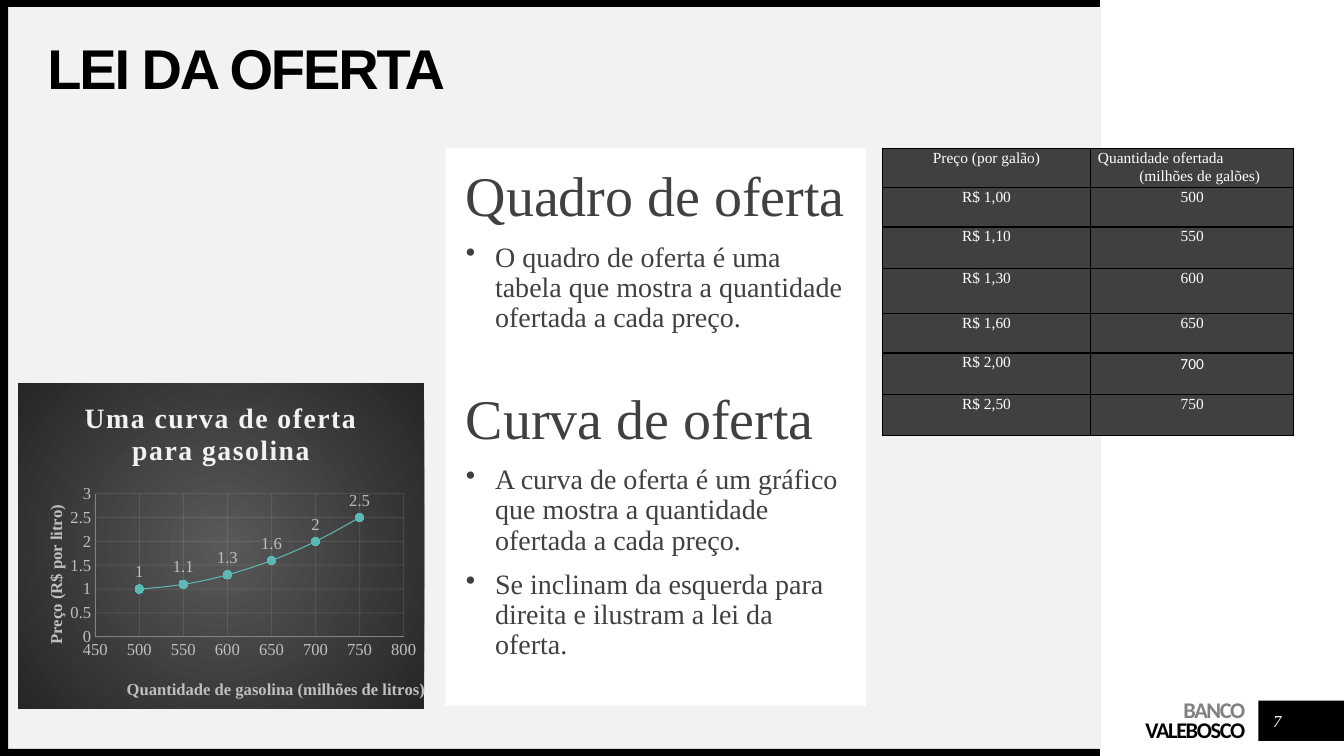
import pptx
import pptx.chart.data
import pptx.chart.datalabel
import pptx.dml.color
import pptx.enum.chart
import pptx.enum.shapes
import pptx.enum.text
import pptx.oxml
import pptx.oxml.ns
import pptx.util
from lxml import etree

Inches = pptx.util.Inches
Pt = pptx.util.Pt
qn = pptx.oxml.ns.qn
ALIGN = pptx.enum.text.PP_ALIGN
ANCHOR = pptx.enum.text.MSO_ANCHOR

COLORS = {
    "black": "000000", "white": "FFFFFF", "panel": "F2F2F2", "dark": "404040",
    "gray": "808080", "label": "BFBFBF", "teal": "5CB8B3", "marker": "57BDB7",
    "glow": "595959", "edge": "262626",
}
SERIF = "Times New Roman"


def rgb(color):
    return pptx.dml.color.RGBColor.from_string(COLORS[color])


class SlideBuilder:
    def __init__(self, slide):
        self.slide = slide

    def style(self, font, size, color, bold=False, italic=False, face=SERIF):
        font.name, font.size, font.bold, font.italic = face, Pt(size), bold, italic
        font.color.rgb = rgb(color)

    def frame(self, text_frame, insets=(0, 0, 0, 0), anchor=ANCHOR.TOP):
        text_frame.word_wrap = True
        text_frame.vertical_anchor = anchor
        (text_frame.margin_left, text_frame.margin_top,
         text_frame.margin_right, text_frame.margin_bottom) = map(Inches, insets)
        return text_frame

    def paragraph(self, text_frame, text, size, color, align=ALIGN.LEFT, spacing=None,
                  before=0, after=0, indent=0, bullet=False, tracking=0, **look):
        started = text_frame.paragraphs[0].runs
        paragraph = text_frame.add_paragraph() if started else text_frame.paragraphs[0]
        paragraph.alignment = align
        paragraph.line_spacing = spacing
        paragraph.space_before, paragraph.space_after = Pt(before), Pt(after)
        run = paragraph.add_run()
        run.text = text
        self.style(run.font, size, color, **look)
        if tracking:
            run.font._element.set("spc", str(int(tracking * 100)))
        properties = paragraph._p.get_or_add_pPr()
        if indent:
            properties.set("marL", str(Inches(indent)))
        if bullet:
            properties.set("indent", str(-Inches(indent)))
            etree.SubElement(properties, qn("a:buChar")).set("char", "•")

    def rect(self, box, color):
        shape = self.slide.shapes.add_shape(
            pptx.enum.shapes.MSO_SHAPE.RECTANGLE, *map(Inches, box))
        shape.shadow.inherit = False
        shape.fill.solid()
        shape.fill.fore_color.rgb = rgb(color)
        shape.line.fill.background()
        return shape

    def text(self, box, insets=(0, 0, 0, 0), anchor=ANCHOR.TOP):
        textbox = self.slide.shapes.add_textbox(*map(Inches, box))
        return self.frame(textbox.text_frame, insets, anchor)

    def cell(self, cell, lines, face):
        cell.margin_left = cell.margin_right = Inches(0.07)
        cell.margin_top = cell.margin_bottom = 0
        for text, align, indent in lines:
            self.paragraph(cell.text_frame, text, 11, "white", align, 1.07,
                           indent=indent, face=face)
        properties = cell._tc.get_or_add_tcPr()
        for side in ("lnL", "lnR", "lnT", "lnB"):
            border = etree.SubElement(properties, qn("a:" + side), w=str(Pt(1)))
            solid = etree.SubElement(border, qn("a:solidFill"))
            etree.SubElement(solid, qn("a:srgbClr"), val=COLORS["black"])
        cell.fill.solid()
        cell.fill.fore_color.rgb = rgb("dark")

    def table(self, box, widths, heights, rows):
        table = self.slide.shapes.add_table(
            len(heights), len(widths), *map(Inches, box)).table
        table.first_row = table.horz_banding = False
        for column, width in zip(table.columns, widths):
            column.width = Inches(width)
        for row, height, contents in zip(table.rows, heights, rows):
            row.height = Inches(height)
            for cell, content in zip(row.cells, contents):
                lines = [(content, ALIGN.CENTER, 0)] if isinstance(content, str) else content
                self.cell(cell, lines, "Calibri" if content == "700" else SERIF)

    def layout(self, parent, inner=False, **places):
        layout = parent.find(qn("c:layout"))
        if layout is None:
            layout = etree.Element(qn("c:layout"))
            parent.insert(0 if inner else 1, layout)
        manual = etree.SubElement(layout, qn("c:manualLayout"))
        if inner:
            etree.SubElement(manual, qn("c:layoutTarget"), val="inner")
        for mode in ("xMode", "yMode"):
            etree.SubElement(manual, qn("c:" + mode), val="edge")
        for name, value in places.items():
            etree.SubElement(manual, qn("c:" + name), val=str(value))

    def axis(self, axis, title, low, high, step, x, y):
        axis.minimum_scale, axis.maximum_scale, axis.major_unit = low, high, step
        axis.major_tick_mark = axis.minor_tick_mark = pptx.enum.chart.XL_TICK_MARK.NONE
        self.style(axis.tick_labels.font, 12, "label")
        axis.format.line.color.rgb = rgb("gray")
        axis.format.line.width = Pt(0.75)
        axis.has_major_gridlines = True
        grid = axis.major_gridlines.format.line
        grid.width = Pt(0.75)
        grid.color.rgb = rgb("panel")
        for color in axis._element.find(qn("c:majorGridlines")).iter(qn("a:srgbClr")):
            etree.SubElement(color, qn("a:alpha"), val="10000")
        self.paragraph(axis.axis_title.text_frame, title, 12, "label",
                       ALIGN.CENTER, bold=True)
        self.layout(axis.axis_title._element, x=x, y=y)

    def radial_fill(self, chart):
        space = chart._chartSpace
        fill = pptx.oxml.parse_xml(
            f'<c:spPr {pptx.oxml.ns.nsdecls("c", "a")}><a:gradFill><a:gsLst>'
            f'<a:gs pos="0"><a:srgbClr val="{COLORS["glow"]}"/></a:gs>'
            f'<a:gs pos="100000"><a:srgbClr val="{COLORS["edge"]}"/></a:gs></a:gsLst>'
            '<a:path path="circle"><a:fillToRect l="50000" t="50000" r="50000" b="50000"/>'
            '</a:path></a:gradFill><a:ln><a:noFill/></a:ln></c:spPr>')
        space.find(qn("c:chart")).addnext(fill)

    def scatter(self, box, title, points):
        data = pptx.chart.data.XyChartData()
        supply = data.add_series("Oferta")
        for quantity, price in points:
            supply.add_data_point(quantity, price)
        chart = self.slide.shapes.add_chart(
            pptx.enum.chart.XL_CHART_TYPE.XY_SCATTER_SMOOTH, *map(Inches, box), data).chart
        self.style(chart.font, 10, "black")
        self.radial_fill(chart)
        chart.has_legend = False
        chart.has_title = True
        self.paragraph(chart.chart_title.text_frame, title, 20, "panel", ALIGN.CENTER,
                       tracking=1, bold=True)
        self.axis(chart.category_axis, "Quantidade de gasolina (milhões de litros)",
                  450, 800, 50, 0.26, 0.9)
        self.axis(chart.value_axis, "Preço (R$ por litro)", 0, 3, 0.5, 0.06, 0.36)
        self.layout(chart._chartSpace.chart.plotArea, True, x=0.19, y=0.34, w=0.76, h=0.44)
        plot = chart.plots[0]
        plot.vary_by_categories = False
        curve = plot.series[0]
        curve._element.get_or_add_smooth().val = True
        curve.format.line.color.rgb = rgb("teal")
        curve.format.line.width = Pt(0.75)
        curve.marker.style = pptx.enum.chart.XL_MARKER_STYLE.CIRCLE
        curve.marker.size = 6
        curve.marker.format.fill.solid()
        curve.marker.format.fill.fore_color.rgb = rgb("marker")
        curve.marker.format.line.color.rgb = rgb("teal")
        labels = pptx.chart.datalabel.DataLabels(curve._element.get_or_add_dLbls())
        labels.show_value = True
        labels.position = pptx.enum.chart.XL_LABEL_POSITION.ABOVE
        self.style(labels.font, 12, "label")


def main():
    deck = pptx.Presentation()
    deck.slide_width, deck.slide_height = Inches(13.33), Inches(7.5)
    page = SlideBuilder(deck.slides.add_slide(deck.slide_layouts[6]))

    page.rect((0.08, 0.07, 10.84, 7.36), "panel")
    page.rect((12.48, 6.95, 0.86, 0.4), "black")
    for band in ((0, 7.43, 10.91, 0.07), (0, 0, 10.91, 0.07), (0, 0.03, 0.08, 7.47)):
        page.rect(band, "black")

    bank = page.text((10.53, 6.94, 1.82, 0.44), (0, 0.04, 0, 0))
    for word, color in (("BANCO", "gray"), ("VALEBOSCO", "black")):
        page.paragraph(bank, word, 16, color, ALIGN.RIGHT, Pt(14),
                       tracking=-1, bold=True, face="Calibri")

    heading = page.text((0.47, 0.47, 9.99, 0.47), anchor=ANCHOR.MIDDLE)
    page.paragraph(heading, "LEI DA OFERTA", 40, "black", spacing=0.9,
                   tracking=-1.5, bold=True, face="Arial")

    body = page.frame(page.rect((4.42, 1.47, 4.17, 5.53), "white").text_frame,
                      (0.2, 0.2, 0.2, 0))
    sections = (
        ("Quadro de oferta", 10,
         ("O quadro de oferta é uma tabela que mostra a quantidade ofertada a cada preço.",)),
        ("Curva de oferta", 41,
         ("A curva de oferta é um gráfico que mostra a quantidade ofertada a cada preço.",
          "Se inclinam da esquerda para direita e ilustram a lei da oferta.")),
    )
    for topic, gap, statements in sections:
        page.paragraph(body, topic, 40, "dark", spacing=0.9, before=gap)
        for statement in statements:
            page.paragraph(body, statement, 20, "dark", spacing=0.9, before=10,
                           indent=0.29, bullet=True)

    number = page.text((12.52, 7, 0.3, 0.3), anchor=ANCHOR.MIDDLE)
    page.paragraph(number, "7", 12, "white", ALIGN.CENTER, italic=True)

    supply = list(zip(range(500, 751, 50), (1, 1.1, 1.3, 1.6, 2, 2.5)))
    header = ("Preço (por galão)", [("Quantidade ofertada", ALIGN.LEFT, 0),
                                    ("(milhões de galões)", ALIGN.CENTER, 0.15)])
    rows = [(f"R$ {price:.2f}".replace(".", ","), str(quantity)) for quantity, price in supply]
    page.table((8.75, 1.47, 4.07, 2.84), (2.07, 2.01),
               (0.36, 0.39, 0.41, 0.45, 0.39, 0.41, 0.41), [header] + rows)
    page.scatter((0.18, 3.8, 4.07, 3.23), "Uma curva de oferta para gasolina", supply)

    deck.save("out.pptx")


if __name__ == "__main__":
    main()
